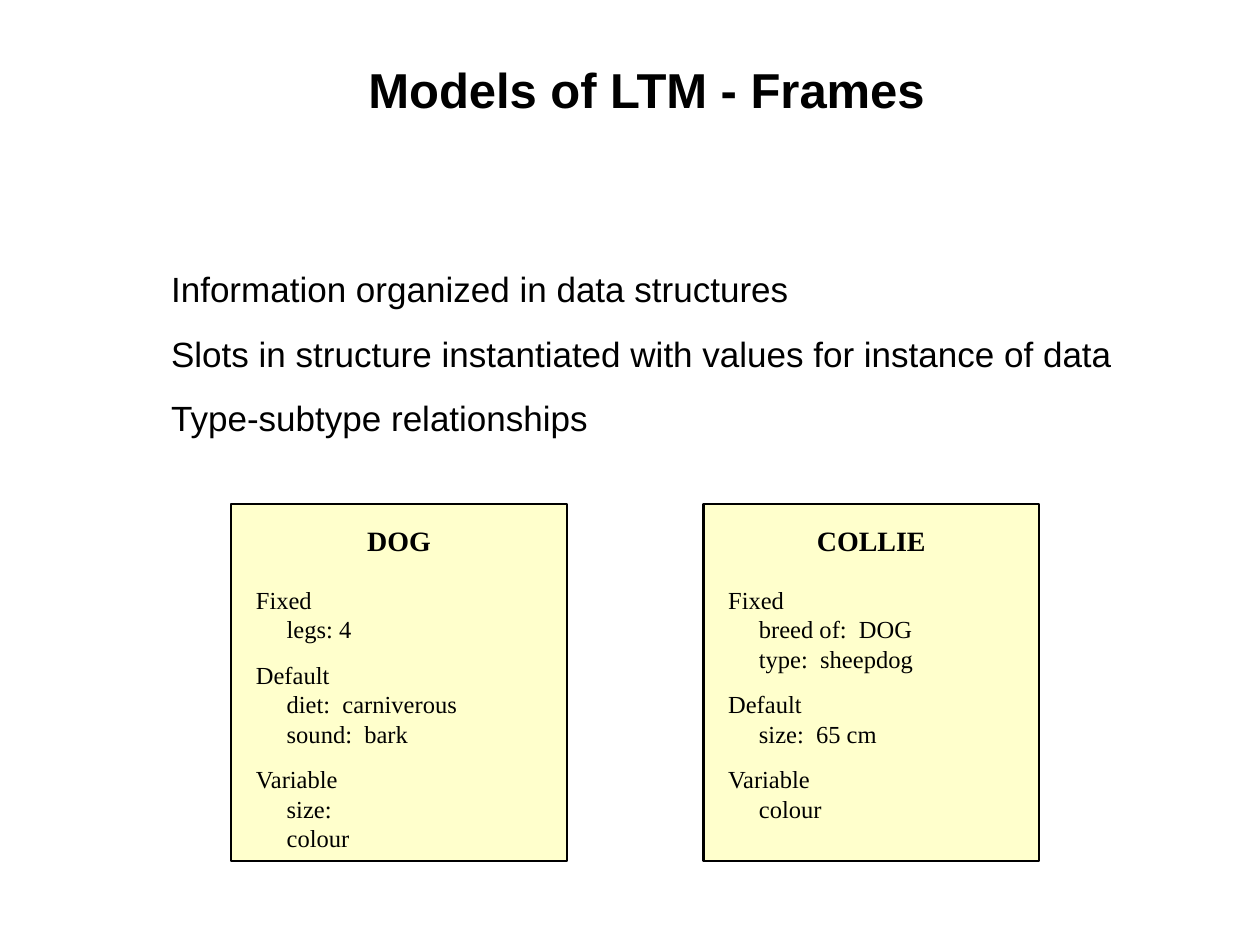
from typing import NamedTuple

from pptx import Presentation
from pptx.dml.color import RGBColor
from pptx.enum.shapes import MSO_SHAPE
from pptx.enum.text import MSO_ANCHOR, PP_ALIGN
from pptx.util import Cm, Pt

RECT = MSO_SHAPE.RECTANGLE
TOP = MSO_ANCHOR.TOP
LEFT, MID = PP_ALIGN.LEFT, PP_ALIGN.CENTER

COLORS = {"ink": "000000", "card": "FFFFCC"}
SANS, SERIF = "Arial", "Times New Roman"


class Line(NamedTuple):
    text: str
    size: int
    font: str = SANS
    bold: bool = False
    align: PP_ALIGN = LEFT
    indent: float = 0
    gap: float = 0


class Frame(NamedTuple):
    name: str
    left: float
    slots: dict[str, list[str]]


def color(key: str) -> RGBColor:
    return RGBColor.from_string(COLORS[key])


def write(text_frame, lines: list[Line], inset: float = 0.13) -> None:
    text_frame.word_wrap = True
    text_frame.vertical_anchor = TOP
    text_frame.margin_left = text_frame.margin_right = Cm(0.25)
    text_frame.margin_top = Cm(inset)
    text_frame.margin_bottom = Cm(0.13)
    for i, line in enumerate(lines):
        par = text_frame.add_paragraph() if i else text_frame.paragraphs[0]
        par.text = line.text
        par.alignment = line.align
        par.space_before = Pt(line.gap)
        par.font.name, par.font.size = line.font, Pt(line.size)
        par.font.bold = line.bold
        par.font.color.rgb = color("ink")
        par._p.get_or_add_pPr().set("marL", str(Cm(line.indent)))


def add_text(slide, box: tuple[float, ...], lines: list[Line]) -> None:
    write(slide.shapes.add_textbox(*map(Cm, box)).text_frame, lines)


def add_frame(slide, frame: Frame) -> None:
    card = slide.shapes.add_shape(
        RECT, Cm(frame.left), Cm(10.16), Cm(6.77), Cm(7.2))
    card.shadow.inherit = False
    card.fill.solid()
    card.fill.fore_color.rgb = color("card")
    card.line.color.rgb = color("ink")
    card.line.width = Pt(1.5)
    lines = [Line(frame.name, 16, SERIF, True, MID)]
    for kind, slots in frame.slots.items():
        gap = 9.2 if len(lines) > 1 else 16
        lines.append(Line(kind, 14, SERIF, indent=0.25, gap=gap))
        lines += [Line(slot, 14, SERIF, indent=0.87) for slot in slots]
    write(card.text_frame, lines, 0.39)


deck = Presentation()
deck.slide_width, deck.slide_height = Cm(25.4), Cm(19.05)
slide = deck.slides.add_slide(deck.slide_layouts[6])

# Frames
FRAMES = [
    Frame("DOG", 4.66, {
        "Fixed": ["legs: 4"],
        "Default": ["diet:  carniverous", "sound:  bark"],
        "Variable": ["size:", "colour"],
    }),
    Frame("COLLIE", 14.18, {
        "Fixed": ["breed of:  DOG", "type:  sheepdog"],
        "Default": ["size:  65 cm"],
        "Variable": ["colour"],
    }),
]
for frame in FRAMES:
    add_frame(slide, frame)

# Title
add_text(slide, (7.14, 1.07, 11.79, 1.45),
         [Line("Models of LTM - Frames", 28, bold=True, align=MID)])

# Main points
POINTS = [
    "Information organized in data structures",
    "Slots in structure instantiated with values for instance of data",
    "Type-subtype relationships",
]
add_text(slide, (3.2, 5.26, 19.8, 3.66),
         [Line(point, 20, gap=13 if i else 0)
          for i, point in enumerate(POINTS)])

deck.save("out.pptx")
